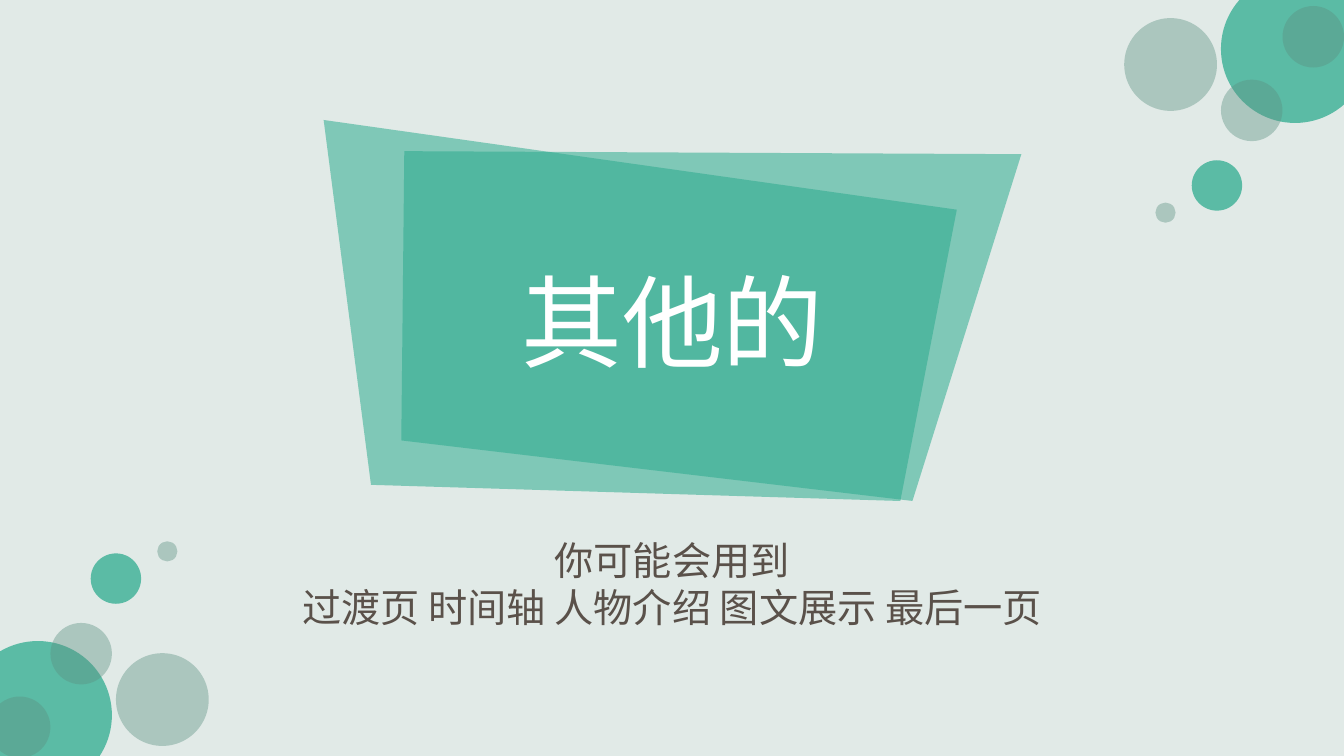
import pptx
import pptx.util
import pptx.dml.color
import pptx.enum.shapes
import pptx.enum.text
import pptx.oxml.ns
import lxml.etree

Inches = pptx.util.Inches
RGBColor = pptx.dml.color.RGBColor

PALE = RGBColor(0xE1, 0xEA, 0xE7)
GREEN = RGBColor(0x27, 0xA9, 0x8C)
MINT = RGBColor(0x5B, 0xBB, 0xA5)
SAGE = RGBColor(0x5B, 0x90, 0x81)
BROWN = RGBColor(0x5A, 0x51, 0x4A)
WHITE = RGBColor(0xFF, 0xFF, 0xFF)


class Deck:
    """Hold the font and current slide, and draw each kind of element."""

    def __init__(self, slide, font):
        self.slide = slide
        self.font = font
        slide.background.fill.solid()
        slide.background.fill.fore_color.rgb = PALE

    def paint(self, shape, color, alpha):
        shape.shadow.inherit = False
        shape.line.fill.background()
        shape.fill.solid()
        shape.fill.fore_color.rgb = color
        if alpha < 100:
            tag = pptx.oxml.ns.qn("a:srgbClr")
            node = shape.fill._xPr.find(".//" + tag)
            part = lxml.etree.SubElement(node, pptx.oxml.ns.qn("a:alpha"))
            part.set("val", str(alpha * 1000))

    def panel(self, points, color, alpha):
        spots = [(Inches(x), Inches(y)) for x, y in points]
        form = self.slide.shapes.build_freeform(*spots[0])
        form.add_line_segments(spots[1:], close=True)
        self.paint(form.convert_to_shape(), color, alpha)

    def circle(self, left, top, size, color, alpha):
        oval = self.slide.shapes.add_shape(
            pptx.enum.shapes.MSO_SHAPE.OVAL,
            Inches(left), Inches(top), Inches(size), Inches(size))
        self.paint(oval, color, alpha)

    def text(self, left, top, width, height, lines, size, color):
        box = self.slide.shapes.add_textbox(
            Inches(left), Inches(top), Inches(width), Inches(height))
        frame = box.text_frame
        frame.word_wrap = True
        frame.vertical_anchor = pptx.enum.text.MSO_ANCHOR.MIDDLE
        for i, line in enumerate(lines):
            para = frame.add_paragraph() if i else frame.paragraphs[0]
            para.alignment = pptx.enum.text.PP_ALIGN.CENTER
            para.line_spacing = pptx.util.Pt(size * 1.2)
            run = para.add_run()
            run.text = line
            run.font.size = pptx.util.Pt(size)
            run.font.color.rgb = color
            run.font.name = self.font
            east = lxml.etree.SubElement(
                run.font._element, pptx.oxml.ns.qn("a:ea"))
            east.set("typeface", self.font)


def main():
    show = pptx.Presentation()
    show.slide_width = Inches(13.33)
    show.slide_height = Inches(7.5)
    deck = Deck(show.slides.add_slide(show.slide_layouts[6]),
                "Noto Sans CJK JP")

    deck.panel([(3.21, 1.19), (9.49, 2.08), (8.93, 4.97), (3.68, 4.81)],
               GREEN, 52)
    deck.panel([(4.01, 1.5), (10.13, 1.53), (9.05, 4.97), (3.98, 4.37)],
               GREEN, 52)
    deck.text(4.53, 2.52, 4.28, 1.31, ["其他的"], 72, WHITE)
    deck.text(2.66, 5.27, 8.01, 1.04,
              ["你可能会用到", "过渡页 时间轴 人物介绍 图文展示 最后一页"],
              28, BROWN)

    dots = [
        (11.46, 2.01, 0.2, SAGE, 40),
        (11.82, 1.59, 0.5, MINT, 100),
        (11.15, 0.18, 0.92, SAGE, 40),
        (12.11, -0.25, 1.47, MINT, 100),
        (12.11, 0.79, 0.61, SAGE, 40),
        (12.72, 0.06, 0.61, SAGE, 40),
    ]
    for dot in dots:
        deck.circle(*dot)
    for left, top, size, color, alpha in dots:
        deck.circle(13.22 - left - size, 7.58 - top - size,
                    size, color, alpha)

    show.save("out.pptx")


if __name__ == "__main__":
    main()
